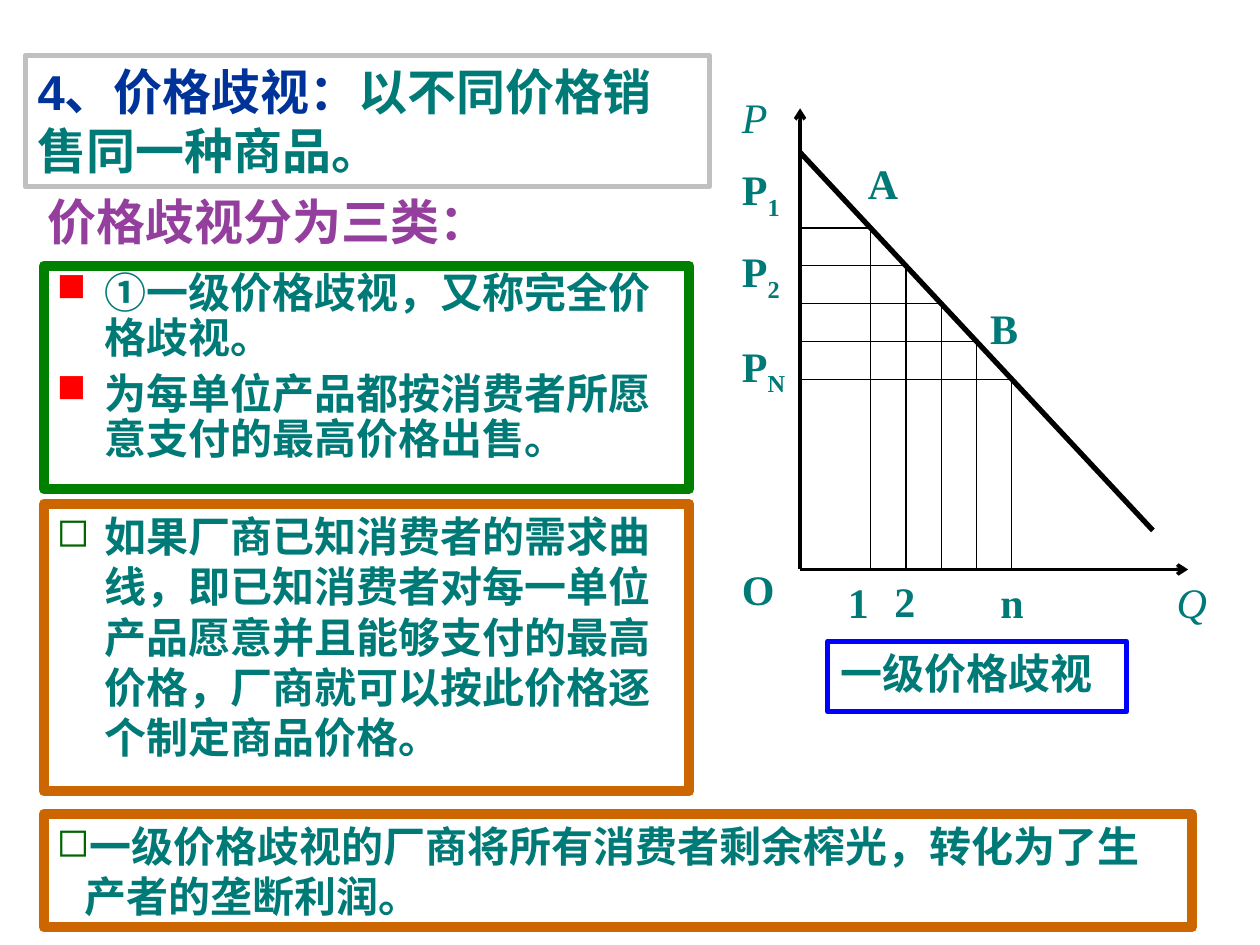
import pptx
import pptx.dml.color
import pptx.enum.shapes
import pptx.enum.text
import pptx.oxml
import pptx.oxml.ns
import pptx.util
from lxml import etree

Inches = pptx.util.Inches
Pt = pptx.util.Pt
qn = pptx.oxml.ns.qn
ANCHOR = pptx.enum.text.MSO_ANCHOR

COLORS = {
    "text": "007A77", "heading": "943F9D", "term": "003399", "white": "FFFFFF",
    "black": "000000", "silver": "C0C0C0", "green": "008000", "orange": "CC6600",
    "blue": "0000FF", "red": "FF0000", "dark_green": "006600",
}
BODY = {"size": Pt(24), "name": "Arial", "bold": True}
HEAD = {**BODY, "size": Pt(28)}
LABEL = {**BODY, "name": "Times New Roman"}
AXIS_NAME = {**LABEL, "bold": False, "italic": True}


def rgb(key):
    return pptx.dml.color.RGBColor.from_string(COLORS[key])


def add_run(p, text, fmt, color="text", baseline=0):
    r = p.add_run()
    r.text = text
    for name, value in fmt.items():
        setattr(r.font, name, value)
    r.font.color.rgb = rgb(color)
    rPr = r._r.get_or_add_rPr()
    etree.SubElement(rPr, qn("a:ea")).set("typeface", "Arial")
    if baseline:
        rPr.set("baseline", str(baseline * 1000))


def set_frame(tf, anchor=ANCHOR.TOP):
    tf.word_wrap = True
    tf.auto_size = pptx.enum.text.MSO_AUTO_SIZE.NONE
    tf.vertical_anchor = anchor
    tf.paragraphs[0].alignment = pptx.enum.text.PP_ALIGN.LEFT
    return tf


def add_bullet(p, char, color, indent):
    pPr = p._p.get_or_add_pPr()
    pPr.set("marL", str(Inches(indent)))
    pPr.set("indent", str(-Inches(indent)))
    clr = etree.SubElement(pPr, qn("a:buClr"))
    etree.SubElement(clr, qn("a:srgbClr")).set("val", COLORS[color])
    etree.SubElement(pPr, qn("a:buSzPct")).set("val", "95000")
    etree.SubElement(pPr, qn("a:buChar")).set("char", char)


def add_frame(s, box, color, width, fill="white", anchor=ANCHOR.TOP):
    sp = s.shapes.add_shape(pptx.enum.shapes.MSO_SHAPE.RECTANGLE, *map(Inches, box))
    sp.shadow.inherit = False
    if fill:
        sp.fill.solid()
        sp.fill.fore_color.rgb = rgb(fill)
    else:
        sp.fill.background()
    sp.line.color.rgb = rgb(color)
    sp.line.width = Pt(width)
    return set_frame(sp.text_frame, anchor)


def add_line(s, start, end, width, arrow=None):
    line = s.shapes.add_connector(
        pptx.enum.shapes.MSO_CONNECTOR.STRAIGHT, *map(Inches, (*start, *end)))
    line.line.color.rgb = rgb("black")
    line.line.width = Pt(width)
    if arrow:
        ln = line.line._get_or_add_ln()
        etree.SubElement(ln, qn("a:" + arrow)).set("type", "arrow")
    etree.SubElement(line._element.spPr, qn("a:effectLst"))


def add_title(s, box):
    sp = s.shapes.title
    sp.left, sp.top, sp.width, sp.height = map(Inches, box)
    tf = set_frame(sp.text_frame, ANCHOR.MIDDLE)
    add_run(tf.paragraphs[0], "价格歧视分为三类：", {**HEAD, "name": "Times New Roman"}, "heading")


def add_definition(s, box):
    p = add_frame(s, box, "silver", 3).paragraphs[0]
    add_run(p, "4、价格歧视：", HEAD, "term")
    add_run(p, "以不同价格销售同一种商品。", {**HEAD, "name": "Noto Sans CJK SC"})


def add_bullet_box(s, box, texts, color, char, bullet_color, indent=0.38,
                   spacing=None, anchor=ANCHOR.TOP):
    tf = add_frame(s, box, color, 6, anchor=anchor)
    for i, text in enumerate(texts):
        p = tf.add_paragraph() if i else tf.paragraphs[0]
        add_bullet(p, char, bullet_color, indent)
        p.alignment = pptx.enum.text.PP_ALIGN.LEFT
        p.line_spacing = spacing
        if i:
            p.space_before = Pt(6)
        add_run(p, text, BODY)


def add_demand_diagram(s, box):
    left, top, width, height = box
    x0, y0 = left + 0.56, top + 3.84
    dx, dy = 0.28, 0.3
    demand_top = top + 0.53
    add_line(s, (x0, top + 0.18), (x0, y0), 2, "headEnd")
    add_line(s, (x0, y0), (x0 + 3.08, y0), 2, "tailEnd")
    add_line(s, (x0, demand_top), (x0 + 10 * dx, demand_top + 10 * dy), 3)
    for step in range(2, 7):
        x, y = x0 + step * dx, demand_top + step * dy
        add_line(s, (x0, y), (x, y), 0.75)
        add_line(s, (x, y), (x, y0), 0.75)

    labels = [
        ("P", "", 0, 0, AXIS_NAME),
        ("Q", "", 3.45, 3.85, AXIS_NAME),
        ("O", "", 0, 3.74, LABEL),
        ("1", "", 0.84, 3.85, LABEL),
        ("2", "", 1.21, 3.84, LABEL),
        ("n", "", 2.05, 3.85, LABEL),
        ("P", "1", 0, 0.57, LABEL),
        ("P", "2", 0, 1.22, LABEL),
        ("P", "N", 0, 1.97, LABEL),
        ("A", "", 1, 0.52, LABEL),
        ("B", "", 1.97, 1.67, LABEL),
    ]
    for text, subscript, x, y, fmt in labels:
        sp = s.shapes.add_textbox(*map(Inches, (left + x, top + y, 0.65, 0.57)))
        p = set_frame(sp.text_frame).paragraphs[0]
        add_run(p, text, fmt)
        if subscript:
            add_run(p, subscript, fmt, baseline=-25)

    caption = add_frame(s, (left + 0.78, top + height - 0.56, 2.37, 0.56), "blue", 3, fill=None)
    add_run(caption.paragraphs[0], "一级价格歧视", LABEL)


def main():
    prs = pptx.Presentation()
    prs.slide_width, prs.slide_height = Inches(10), Inches(7.5)
    s = prs.slides.add_slide(prs.slide_layouts[5])
    add_title(s, (0.28, 1.47, 6.06, 0.57))
    add_bullet_box(s, (0.35, 2.11, 5.12, 1.77), [
        "①一级价格歧视，又称完全价格歧视。",
        "为每单位产品都按消费者所愿意支付的最高价格出售。",
    ], "green", "■", "red", spacing=0.9)
    add_demand_diagram(s, (5.79, 0.68, 4.01, 4.97))
    add_bullet_box(s, (0.35, 6.46, 9.11, 0.9), [
        "一级价格歧视的厂商将所有消费者剩余榨光，转化为了生产者的垄断利润。",
    ], "orange", "◻", "dark_green", indent=0.22, anchor=ANCHOR.MIDDLE)
    add_bullet_box(s, (0.35, 4, 5.12, 2.28), [
        "如果厂商已知消费者的需求曲线，即已知消费者对每一单位产品愿意并且能够支付的最高价格，"
        "厂商就可以按此价格逐个制定商品价格。",
    ], "orange", "◻", "dark_green")
    add_definition(s, (0.2, 0.44, 5.43, 1.04))
    prs.save("out.pptx")


if __name__ == "__main__":
    main()
